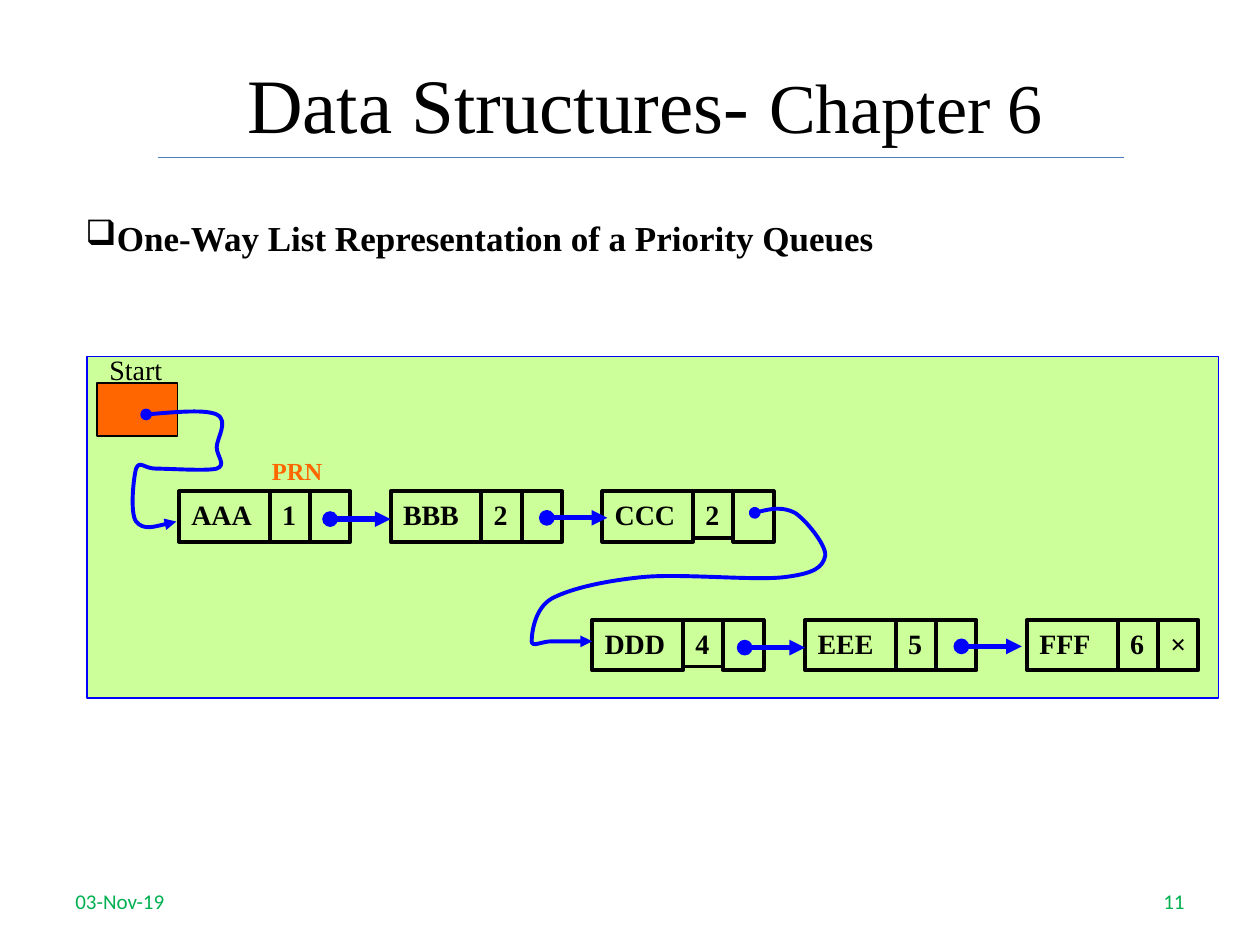
from lxml import etree
from pptx import Presentation
from pptx.dml.color import RGBColor
from pptx.enum.shapes import MSO_CONNECTOR, MSO_SHAPE
from pptx.enum.text import MSO_ANCHOR, PP_ALIGN
from pptx.oxml.ns import qn
from pptx.util import Inches, Pt

RECT, STRAIGHT = MSO_SHAPE.RECTANGLE, MSO_CONNECTOR.STRAIGHT
TOP, MIDDLE = MSO_ANCHOR.TOP, MSO_ANCHOR.MIDDLE
LEFT, CENTER, RIGHT = PP_ALIGN.LEFT, PP_ALIGN.CENTER, PP_ALIGN.RIGHT

BLACK = RGBColor(0x00, 0x00, 0x00)
BLUE = RGBColor(0x00, 0x00, 0xFF)
RULE_BLUE = RGBColor(0x4B, 0x7E, 0xBC)
GREEN = RGBColor(0x00, 0xB0, 0x50)
PALE_GREEN = RGBColor(0xCC, 0xFF, 0x99)
ORANGE = RGBColor(0xFF, 0x66, 0x00)

NODE_WIDTHS = (0.72, 0.32, 0.32)
CELL_H = 0.4
SHORT_H = 0.37
ARROW_W = 0.48


class SlideBuilder:
    """Holds the current slide and its default text format."""

    base = {"name": "Times New Roman", "size": Pt(16), "bold": False}

    def __init__(self, slide):
        self.slide = slide
        self.shapes = slide.shapes

    def set_text(self, shape, runs, align=LEFT, anchor=TOP, color=BLACK):
        """Fill a shape with one paragraph of (text, format) runs."""
        tf = shape.text_frame
        tf.word_wrap = True
        tf.vertical_anchor = anchor
        p = tf.paragraphs[0]
        p.alignment = align
        for text, fmt in runs:
            r = p.add_run()
            r.text = text
            for key, value in {**self.base, **fmt}.items():
                setattr(r.font, key, value)
            r.font.color.rgb = color
        return p

    def title(self, box, runs):
        sp = self.shapes.title
        sp.left, sp.top, sp.width, sp.height = map(Inches, box)
        self.set_text(sp, runs, CENTER, MIDDLE)

    def text(self, box, text, fmt, **layout):
        sp = self.shapes.add_textbox(*map(Inches, box))
        return self.set_text(sp, [(text, fmt)], **layout)

    def bullet(self, box, text, fmt, char, indent):
        pPr = self.text(box, text, fmt)._p.get_or_add_pPr()
        pPr.set("marL", str(Inches(indent)))
        pPr.set("indent", str(-Inches(indent)))
        etree.SubElement(pPr, qn("a:buChar")).set("char", char)

    def rect(self, box, line, width, fill=None, text=None):
        sp = self.shapes.add_shape(RECT, *map(Inches, box))
        sp.shadow.inherit = False
        if fill is None:
            sp.fill.background()
        else:
            sp.fill.solid()
            sp.fill.fore_color.rgb = fill
        sp.line.color.rgb = line
        sp.line.width = Pt(width)
        if text:
            self.set_text(sp, [(text, {"bold": True})])

    def node(self, x, y, cells, priority_h=CELL_H):
        """Draw a list node: information, priority number and link."""
        for text, w, h in zip(cells, NODE_WIDTHS, (CELL_H, priority_h, CELL_H)):
            self.rect((x, y, w, h), BLACK, 2.25, text=text)
            x += w

    def line(self, x1, y1, x2, y2, color, width):
        cxn = self.shapes.add_connector(STRAIGHT, *map(Inches, (x1, y1, x2, y2)))
        cxn.line.color.rgb = color
        cxn.line.width = Pt(width)
        etree.SubElement(cxn._element.spPr, qn("a:effectLst"))
        return cxn

    def link(self, x, y):
        self.add_ends(self.line(x, y, x + ARROW_W, y, BLUE, 3))

    def curve(self, points):
        """Draw a cubic Bezier link: a start, then three points per segment."""
        start, *rest = [(Inches(x), Inches(y)) for x, y in points]
        fb = self.shapes.build_freeform(*start)
        fb.add_line_segments(rest, close=False)
        sp = fb.convert_to_shape()
        sp.shadow.inherit = False
        sp.fill.background()
        sp.line.color.rgb = BLUE
        sp.line.width = Pt(2.25)
        steps = list(sp._element.iter(qn("a:lnTo")))
        for i in range(0, len(steps), 3):
            first, *others = steps[i:i + 3]
            first.tag = qn("a:cubicBezTo")
            for step in others:
                first.append(step[0])
                step.getparent().remove(step)
        self.add_ends(sp)

    def add_ends(self, shape):
        ln = shape.line._get_or_add_ln()
        for tag, kind in (("a:headEnd", "oval"), ("a:tailEnd", "triangle")):
            etree.SubElement(ln, qn(tag)).set("type", kind)


def main():
    prs = Presentation()
    prs.slide_width, prs.slide_height = Inches(10), Inches(7.5)
    s = SlideBuilder(prs.slides.add_slide(prs.slide_layouts[5]))

    s.title((1.33, 0.38, 7.58, 0.87),
            [("Data Structures- ", {"size": Pt(44)}),
             ("Chapter 6", {"size": Pt(40)})])
    s.line(1.25, 1.25, 8.92, 1.25, RULE_BLUE, 0.75)
    s.bullet((0.58, 1.67, 8.75, 0.5),
             "One-Way List Representation of a Priority Queues",
             {"size": Pt(20), "bold": True}, "❑", 0.25)

    footer = {"name": "Calibri", "size": Pt(12)}
    for x, text, align in ((0.5, "03-Nov-19", LEFT), (7.17, "11", RIGHT)):
        s.text((x, 6.95, 2.33, 0.4), text, footer,
               align=align, anchor=MIDDLE, color=GREEN)

    s.rect((0.69, 2.83, 8.98, 2.71), BLUE, 0.75, PALE_GREEN)

    upper, lower = 3.9, 4.92
    s.node(1.42, upper, ("AAA", "1", ""))
    s.node(3.1, upper, ("BBB", "2", ""))
    s.node(4.78, upper, ("CCC", "2", ""), SHORT_H)
    s.node(4.7, lower, ("DDD", "4", ""), SHORT_H)
    s.node(6.39, lower, ("EEE", "5", ""))
    s.node(8.15, lower, ("FFF", "6", "×"))
    for x, y in ((2.62, 4.12), (4.34, 4.11), (5.91, 5.14), (7.63, 5.13)):
        s.link(x, y)

    ccc_to_ddd = [
        (5.99, 4.07),
        (6.1, 4.04), (6.21, 4.02), (6.31, 4.07),
        (6.4, 4.13), (6.56, 4.33), (6.55, 4.41),
        (6.53, 4.5), (6.47, 4.55), (6.23, 4.58),
        (5.99, 4.61), (5.41, 4.55), (5.1, 4.58),
        (4.8, 4.61), (4.53, 4.67), (4.38, 4.75),
        (4.24, 4.83), (4.22, 5.03), (4.22, 5.09),
        (4.22, 5.14), (4.3, 5.09), (4.38, 5.09),
        (4.46, 5.09), (4.58, 5.09), (4.7, 5.09),
    ]
    start_to_aaa = [
        (1.16, 3.29),
        (1.4, 3.27), (1.63, 3.25), (1.72, 3.29),
        (1.82, 3.34), (1.72, 3.48), (1.72, 3.55),
        (1.72, 3.62), (1.8, 3.69), (1.72, 3.72),
        (1.64, 3.74), (1.35, 3.72), (1.24, 3.72),
        (1.14, 3.72), (1.11, 3.65), (1.08, 3.72),
        (1.06, 3.79), (1.03, 4.07), (1.08, 4.14),
        (1.14, 4.21), (1.27, 4.17), (1.4, 4.14),
    ]
    s.curve(ccc_to_ddd)
    s.rect((0.77, 3.04, 0.64, 0.42), BLACK, 0.75, ORANGE)
    s.curve(start_to_aaa)

    s.text((0.77, 2.75, 0.7, 0.37), "Start", {})
    s.text((2.06, 3.57, 0.72, 0.33), "PRN",
           {"size": Pt(14), "bold": True}, color=ORANGE)

    prs.save("out.pptx")


if __name__ == "__main__":
    main()
